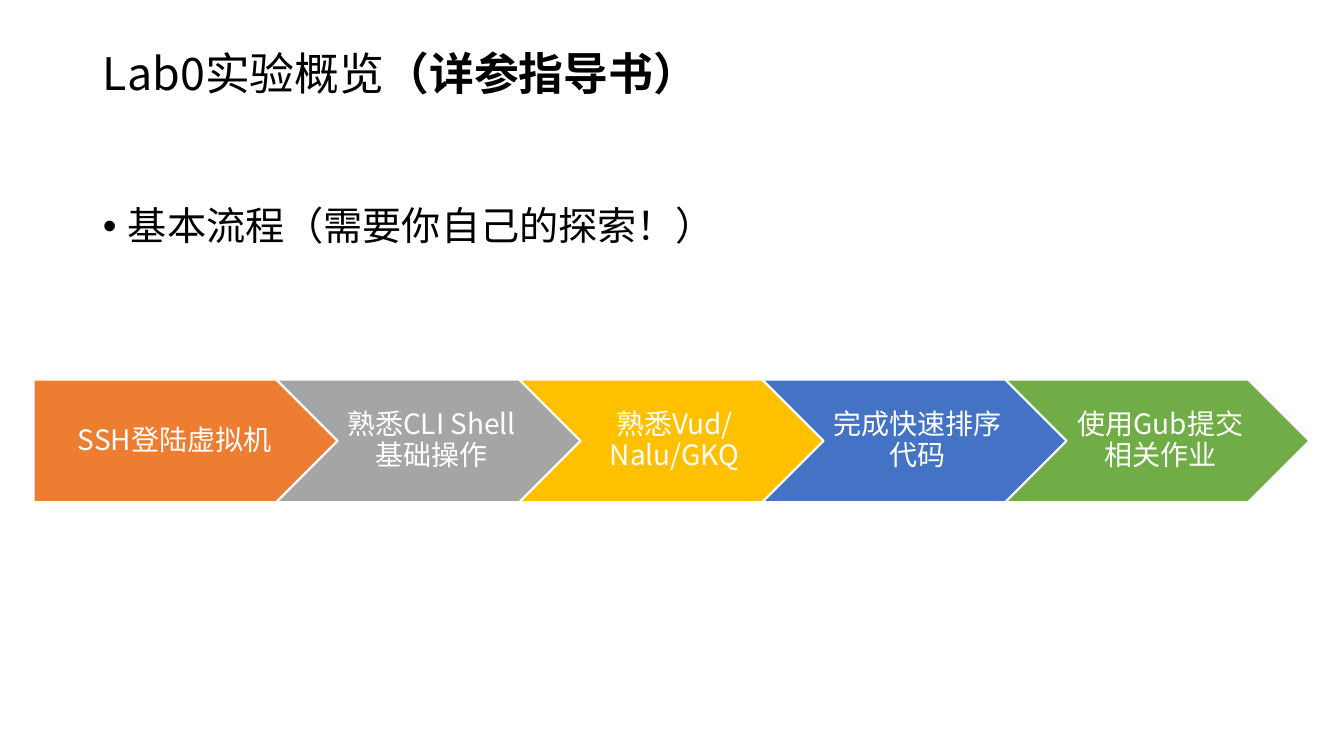
from pptx import Presentation
from pptx.dml.color import RGBColor
from pptx.enum.shapes import MSO_SHAPE
from pptx.enum.text import MSO_ANCHOR, PP_ALIGN
from pptx.oxml.ns import qn
from pptx.util import Pt
from lxml.etree import SubElement

# Content
TITLE = [("Lab0实验概览", False), ("（详参指导书）", True)]
BULLET = "基本流程（需要你自己的探索！）"
STEPS = [
    ("SSH登陆虚拟机", "ED7D31"),
    ("熟悉CLI Shell基础操作", "A5A5A5"),
    ("熟悉Vud/Nalu/GKQ", "FFC000"),
    ("完成快速排序代码", "4472C4"),
    ("使用Gub提交相关作业", "70AD47"),
]
FONT = "Noto Sans CJK SC"

# Layout in pixels
EMU_PER_PX = 914400 / 100.8
SLIDE_W, SLIDE_H = 1344, 756
TITLE_BOX = (93, 40, 1159, 72)
BODY_BOX = (93, 202, 1159, 480)
STEP_X, STEP_Y, STEP_W, STEP_H = 34, 380, 303, 122
POINT = STEP_H // 2
STEP_PITCH = STEP_W - POINT + 1
BULLET_INDENT = 25


def px(n):
    return round(n * EMU_PER_PX)


def rgb(color):
    return RGBColor.from_string(color)


def add_run(p, text, size, color, bold=False):
    r = p.add_run()
    r.text = text
    r.font.size = Pt(size)
    r.font.bold = bold
    r.font.name = FONT
    r.font.color.rgb = rgb(color)
    SubElement(r.font._element, qn("a:ea"), typeface=FONT)


def first_paragraph(tf, anchor):
    tf.word_wrap = True
    tf.vertical_anchor = anchor
    p = tf.paragraphs[0]
    p.line_spacing = 0.9
    return p


def add_text_box(box, anchor):
    tf = s.shapes.add_textbox(*map(px, box)).text_frame
    return first_paragraph(tf, anchor)


prs = Presentation()
prs.slide_width, prs.slide_height = px(SLIDE_W), px(SLIDE_H)
s = prs.slides.add_slide(prs.slide_layouts[6])

# Title
p = add_text_box(TITLE_BOX, MSO_ANCHOR.MIDDLE)
for text, bold in TITLE:
    add_run(p, text, 32, "000000", bold)

# Bullet
p = add_text_box(BODY_BOX, MSO_ANCHOR.TOP)
p.space_before = Pt(10)
add_run(p, BULLET, 28, "000000")
pPr = p._p.get_or_add_pPr()
pPr.set("marL", str(px(BULLET_INDENT)))
pPr.set("indent", str(-px(BULLET_INDENT)))
SubElement(pPr, qn("a:buFont"), typeface="Arial")
SubElement(pPr, qn("a:buChar"), char="•")

# Process arrows
for i, (text, color) in enumerate(STEPS):
    kind = MSO_SHAPE.CHEVRON if i else MSO_SHAPE.PENTAGON
    sp = s.shapes.add_shape(kind, px(STEP_X + i * STEP_PITCH), px(STEP_Y),
                            px(STEP_W), px(STEP_H))
    sp.adjustments[0] = 0.5
    sp.shadow.inherit = False
    sp.fill.solid()
    sp.fill.fore_color.rgb = rgb(color)
    sp.line.color.rgb = rgb("FFFFFF")
    sp.line.width = Pt(1)
    tf = sp.text_frame
    tf.margin_left = px(9 if i else 12)
    tf.margin_right = px(3)
    tf.margin_top = tf.margin_bottom = px(6)
    p = first_paragraph(tf, MSO_ANCHOR.MIDDLE)
    p.alignment = PP_ALIGN.CENTER
    add_run(p, text, 20, "FFFFFF")

prs.save("out.pptx")
